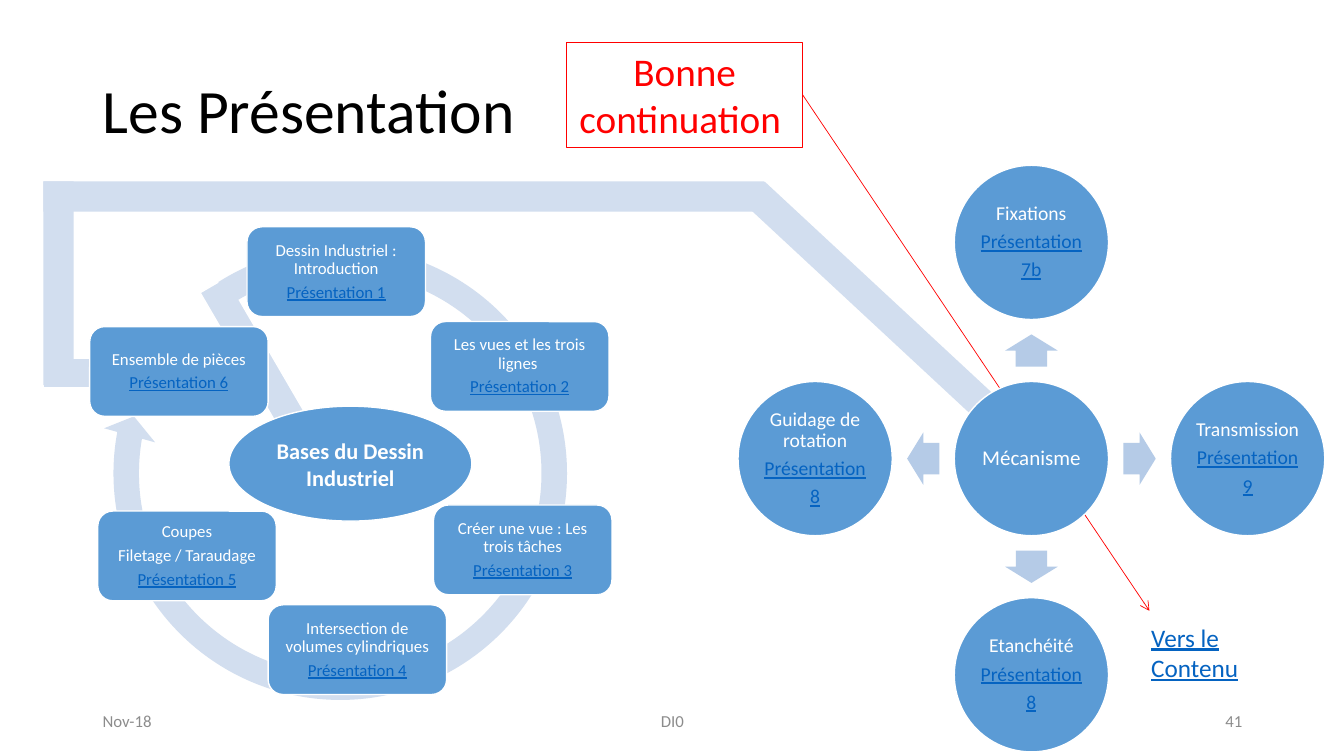
from lxml import etree
from pptx import Presentation
from pptx.dml.color import RGBColor
from pptx.enum.shapes import MSO_CONNECTOR, MSO_SHAPE
from pptx.enum.text import MSO_ANCHOR, PP_ALIGN
from pptx.oxml.ns import qn
from pptx.util import Pt

PX = 9144
FONT = "Calibri"
RECT, ROUND, OVAL = MSO_SHAPE.RECTANGLE, MSO_SHAPE.ROUNDED_RECTANGLE, MSO_SHAPE.OVAL
ARROW, RING = MSO_SHAPE.RIGHT_ARROW, MSO_SHAPE.CIRCULAR_ARROW
LINE = MSO_CONNECTOR.STRAIGHT
TOP, MIDDLE = MSO_ANCHOR.TOP, MSO_ANCHOR.MIDDLE
LEFT, CENTER, RIGHT = PP_ALIGN.LEFT, PP_ALIGN.CENTER, PP_ALIGN.RIGHT
COLORS = {
    "black": "000000", "white": "FFFFFF", "red": "FF0000", "gray": "8C8C8C",
    "blue": "5B9BD5", "pale": "D2DEEF", "mid": "B5CBE7", "link": "0563C1",
}


def color(name):
    return RGBColor.from_string(COLORS[name])


def scale(box):
    return [round(n * PX) for n in box]


def shape(slide, kind, box, fill=None, edge=None, width=1, turn=0):
    item = slide.shapes.add_shape(kind, *scale(box))
    item.shadow.inherit = False
    item.rotation = turn
    if fill:
        item.fill.solid()
        item.fill.fore_color.rgb = color(fill)
    else:
        item.fill.background()
    if edge:
        item.line.color.rgb = color(edge)
        item.line.width = Pt(width)
    else:
        item.line.fill.background()
    return item


def write(item, lines, size, tint, align=CENTER, anchor=MIDDLE, links=(),
          inset=(10, 5), lead=None, after=0, bold=False):
    frame = item.text_frame
    frame.word_wrap = True
    frame.vertical_anchor = anchor
    frame.margin_left = frame.margin_right = inset[0] * PX
    frame.margin_top = frame.margin_bottom = inset[1] * PX
    frame.text = "\n".join([*lines, *links])
    for index, para in enumerate(frame.paragraphs):
        linked = index >= len(lines)
        para.alignment = align
        para.line_spacing = lead
        para.space_after = Pt(after)
        for run in para.runs:
            font = run.font
            font.name, font.size, font.bold = FONT, Pt(size), bold
            font.underline = linked
            font.color.rgb = color("link" if linked else tint)


def label(slide, box, lines, size, tint, **style):
    write(slide.shapes.add_textbox(*scale(box)), lines, size, tint, **style)


def header(slide, box):
    label(slide, box, ["Les Présentation"], 44, "black", align=LEFT, lead=0.9)


def footer(slide, box):
    left, top, width, height = box
    parts = [
        ("Nov-18", 0, 300, LEFT),
        ("DI0", 350, 450, CENTER),
        ("41", width - 300, 300, RIGHT),
    ]
    for text, dx, wide, align in parts:
        label(slide, (left + dx, top, wide, height), [text], 12, "gray", align=align)


def track(slide, box):
    left, top = box[:2]
    bars = [
        (659, 114, 346, 42.9, None),
        (0, 175, 97, 180, "white"),
        (105, 198, 255, 59.8, "white"),
        (-86, 86, 202, 270, None),
        (0, 0, 715, 0, None),
    ]
    for dx, dy, length, turn, edge in bars:
        shape(slide, RECT, (left + dx, top + dy, length, 30), "pale", edge, turn=turn)


def wheel(slide, box):
    left, top = box[:2]
    hub = shape(slide, OVAL, (left + 138, top + 178, 241, 114), "blue", "white")
    write(hub, ["Bases du Dessin Industriel"], 16, "white", bold=True)
    ring = shape(slide, RING, (left + 10, top + 6, 477, 477), "pale", turn=312.4)
    for index, value in enumerate((0.053, 3.126, 142.684, 171.035, 0.055)):
        ring.adjustments[index] = value
    cards = [
        (156, 0, ["Dessin Industriel : Introduction"]),
        (338, 94, ["Les vues et les trois lignes "]),
        (341, 276, ["Créer une vue : Les trois tâches"]),
        (177, 375, ["Intersection de volumes cylindriques"]),
        (8, 282, ["Coupes", "Filetage / Taraudage"]),
        (0, 99, ["Ensemble de pièces"]),
    ]
    for number, (dx, dy, lines) in enumerate(cards, 1):
        card = shape(slide, ROUND, (left + dx, top + dy, 177, 89), "blue", "white")
        write(card, lines, 12, "white", links=[f"Présentation {number}"],
              inset=(5, 5), lead=0.9, after=4)


def star(slide, box):
    left, top, width, height = box
    disc, long, wide = 153, 32, 52
    step = (width - disc) / 2
    midx, midy = left + width / 2, top + height / 2

    def circle(dx, dy, text, size, links=()):
        spot = (midx + dx * step - disc / 2, midy + dy * step - disc / 2, disc, disc)
        item = shape(slide, OVAL, spot, "blue", "white")
        write(item, [text], size, "white", links=links, inset=(2, 2), lead=0.9, after=5)

    circle(0, 0, "Mécanisme", 15)
    arms = [
        (0, -1, 270, "Fixations", "7b"),
        (1, 0, 0, "Transmission", "9"),
        (0, 1, 90, "Etanchéité", "8"),
        (-1, 0, 180, "Guidage de rotation", "8"),
    ]
    for dx, dy, turn, text, number in arms:
        spot = (midx + dx * step / 2 - long / 2, midy + dy * step / 2 - wide / 2, long, wide)
        arrow = shape(slide, ARROW, spot, "mid", turn=turn)
        arrow.adjustments[0] = 0.6
        circle(dx, dy, text, 14, ["Présentation", number])


def wish(slide, box):
    note = shape(slide, RECT, box, edge="red", width=0.75)
    write(note, ["Bonne continuation "], 28, "red", anchor=TOP)
    return note


def jump(slide, box, note):
    label(slide, box, [], 18, "link", links=["Vers le Contenu"], align=LEFT, anchor=TOP)
    ends = scale((795, 94, box[0] + 8, box[1] - 6))
    line = slide.shapes.add_connector(LINE, *ends)
    line.begin_connect(note, 3)
    line.line.color.rgb = color("red")
    line.line.width = Pt(0.5)
    etree.SubElement(line.line._get_or_add_ln(), qn("a:tailEnd"), type="arrow")
    etree.SubElement(line._element.spPr, qn("a:effectLst"))


def main():
    deck = Presentation()
    deck.slide_width, deck.slide_height = scale((1333, 750))
    slide = deck.slides.add_slide(deck.slide_layouts[6])
    track(slide, (43, 180, 962, 213))
    header(slide, (92, 40, 1150, 145))
    footer(slide, (92, 695, 1150, 40))
    note = wish(slide, (562, 42, 234, 104))
    wheel(slide, (89, 225, 518, 483))
    jump(slide, (1132, 612, 123, 71), note)
    star(slide, (732, 164, 582, 582))
    deck.save("out.pptx")


if __name__ == "__main__":
    main()
